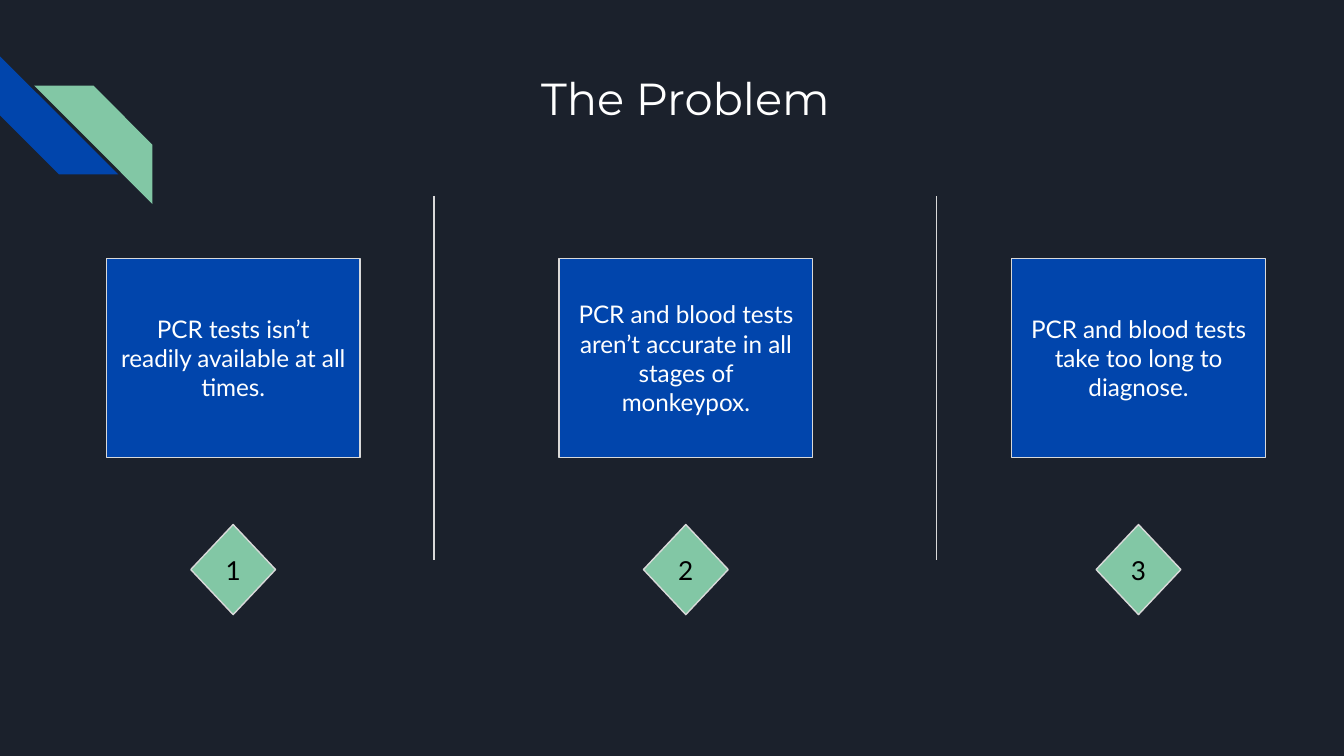
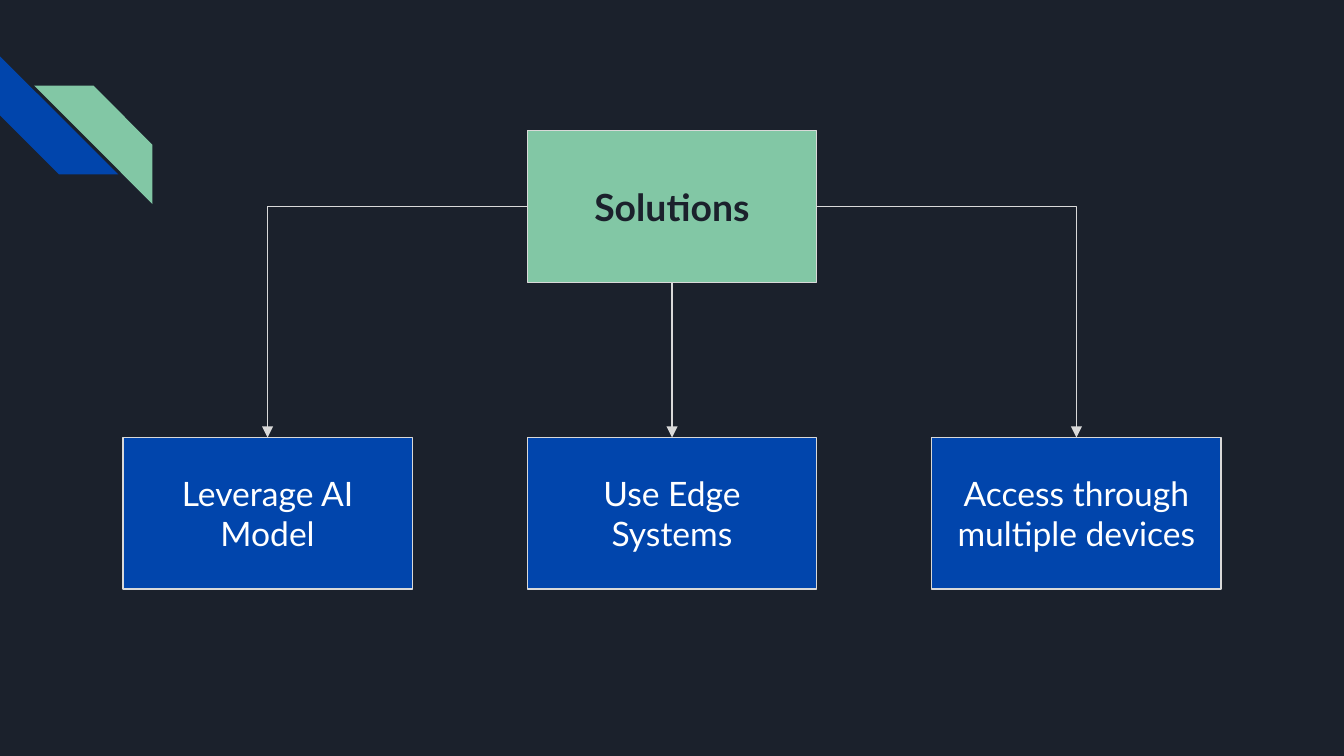
import pptx
import pptx.util
import pptx.dml.color
import pptx.enum.shapes
import pptx.enum.text
import pptx.oxml.ns
import lxml.etree

RGB = pptx.dml.color.RGBColor
NIGHT = RGB(0x1B, 0x21, 0x2C)
BLUE = RGB(0x01, 0x45, 0xAC)
MINT = RGB(0x82, 0xC7, 0xA5)
GREY = RGB(0xD9, 0xD9, 0xD9)
WHITE = RGB(0xFF, 0xFF, 0xFF)
BLACK = RGB(0, 0, 0)
SHAPE = pptx.enum.shapes.MSO_SHAPE
LINK = pptx.enum.shapes.MSO_CONNECTOR
qn = pptx.oxml.ns.qn
PAGE = (0, 0, pptx.util.Inches(10), pptx.util.Inches(5.625))


def part(box, x, y, w, h):
    """Return the part of a box given in percent of its size."""
    left, top, wide, high = box
    return (round(left + wide * x / 100), round(top + high * y / 100),
            round(wide * w / 100), round(high * h / 100))


def write(shape, text, size, color, face="Lato", bold=False):
    """Write one centred paragraph into a shape."""
    frame = shape.text_frame
    frame.word_wrap = True
    frame.margin_left = frame.margin_right = pptx.util.Inches(0.1)
    frame.margin_top = frame.margin_bottom = pptx.util.Inches(0.1)
    para = frame.paragraphs[0]
    para.text = text
    para.alignment = pptx.enum.text.PP_ALIGN.CENTER
    font = para.font
    font.name, font.size, font.bold = face, pptx.util.Pt(size), bold
    font.color.rgb = color


def form(slide, kind, box, fill):
    """Add a flat filled shape without an outline."""
    shape = slide.shapes.add_shape(kind, *box)
    shape.shadow.inherit = False
    shape.fill.solid()
    shape.fill.fore_color.rgb = fill
    shape.line.fill.background()
    return shape


def block(slide, kind, box, fill, text, size, color, bold=False):
    """Add an outlined shape with centred text."""
    shape = form(slide, kind, box, fill)
    shape.line.color.rgb = GREY
    shape.line.width = pptx.util.Pt(0.75)
    shape.text_frame.vertical_anchor = pptx.enum.text.MSO_ANCHOR.MIDDLE
    write(shape, text, size, color, bold=bold)
    return shape


def rule(slide, kind, start, end, arrow=False):
    """Add a thin grey line, with an arrowhead if asked."""
    line = slide.shapes.add_connector(kind, *start, *end)
    line.line.color.rgb = GREY
    line.line.width = pptx.util.Pt(0.75)
    props = line._element.spPr
    if arrow:
        edge = props.find(qn("a:ln"))
        lxml.etree.SubElement(edge, qn("a:tailEnd"), type="triangle")
    if kind == LINK.ELBOW:
        props.find(qn("a:prstGeom")).set("prst", "bentConnector2")
    lxml.etree.SubElement(props, qn("a:effectLst"))
    return line


def stripes(slide, box):
    """Draw the two corner stripes."""
    blue = form(slide, SHAPE.DIAGONAL_STRIPE, part(box, 0, 0, 77.5, 80), BLUE)
    blue.rotation = 270
    mint = form(slide, SHAPE.DIAGONAL_STRIPE, part(box, 22.5, 20, 77.5, 80), MINT)
    mint._element.spPr.find(qn("a:xfrm")).set("flipH", "1")


def start(deck):
    """Add a blank slide with the corner stripes."""
    slide = deck.slides.add_slide(deck.slide_layouts[6])
    stripes(slide, part(PAGE, 0, 7.4, 11.35, 19.6))
    return slide


def title(slide, box, text):
    """Add the slide title."""
    write(slide.shapes.add_textbox(*box), text, 24, WHITE, "Montserrat")


def column(slide, box, num, text):
    """Draw a card with its numbered diamond below."""
    block(slide, SHAPE.RECTANGLE, part(box, 0, 0, 100, 55.85), BLUE, text, 13, WHITE)
    block(slide, SHAPE.DIAMOND, part(box, 33.3, 74.7, 33.4, 25.3), MINT,
          str(num), 14, BLACK)


def problem(deck):
    """Build the slide of three problems."""
    slide = start(deck)
    title(slide, part(PAGE, 12.5, 7.6, 77, 17.8), "The Problem")
    texts = ("PCR tests isn’t readily available at all times.",
             "PCR and blood tests aren’t accurate in all stages of monkeypox.",
             "PCR and blood tests take too long to diagnose.")
    for i, text in enumerate(texts):
        column(slide, part(PAGE, 7.9 + 33.68 * i, 34.2, 18.9, 47.1), i + 1, text)
    for x in (32.3, 69.7):
        left, top, _, high = part(PAGE, x, 25.9, 0, 48.2)
        rule(slide, LINK.STRAIGHT, (left, top), (left, top + high))


def tree(slide, box, root, leaves):
    """Draw a root box with arrows to a row of leaf boxes."""
    wide, high, step = 26.35, 33.1, 36.83
    top = block(slide, SHAPE.RECTANGLE, part(box, step, 0, wide, high), MINT,
                root, 20, NIGHT, True)
    mid = top.top + top.height // 2
    sides = ((LINK.ELBOW, 1, (top.left, mid)),
             (LINK.STRAIGHT, 2, (top.left + top.width // 2, top.top + top.height)),
             (LINK.ELBOW, 3, (top.left + top.width, mid)))
    for i, (text, (kind, site, begin)) in enumerate(zip(leaves, sides)):
        leaf = block(slide, SHAPE.RECTANGLE,
                     part(box, step * i, 100 - high, wide, high), BLUE, text, 18, WHITE)
        end = (leaf.left + leaf.width // 2, leaf.top)
        line = rule(slide, kind, begin, end, True)
        line.begin_connect(top, site)
        line.end_connect(leaf, 0)


def answer(deck):
    """Build the slide of solutions."""
    tree(start(deck), part(PAGE, 9.15, 17.3, 81.7, 60.65), "Solutions",
         ("Leverage AI Model", "Use Edge Systems", "Access through multiple devices"))


def main():
    """Build and save the deck."""
    deck = pptx.Presentation()
    deck.slide_width, deck.slide_height = PAGE[2:]
    fill = deck.slide_master.background.fill
    fill.solid()
    fill.fore_color.rgb = NIGHT
    problem(deck)
    answer(deck)
    deck.save("out.pptx")


if __name__ == "__main__":
    main()
